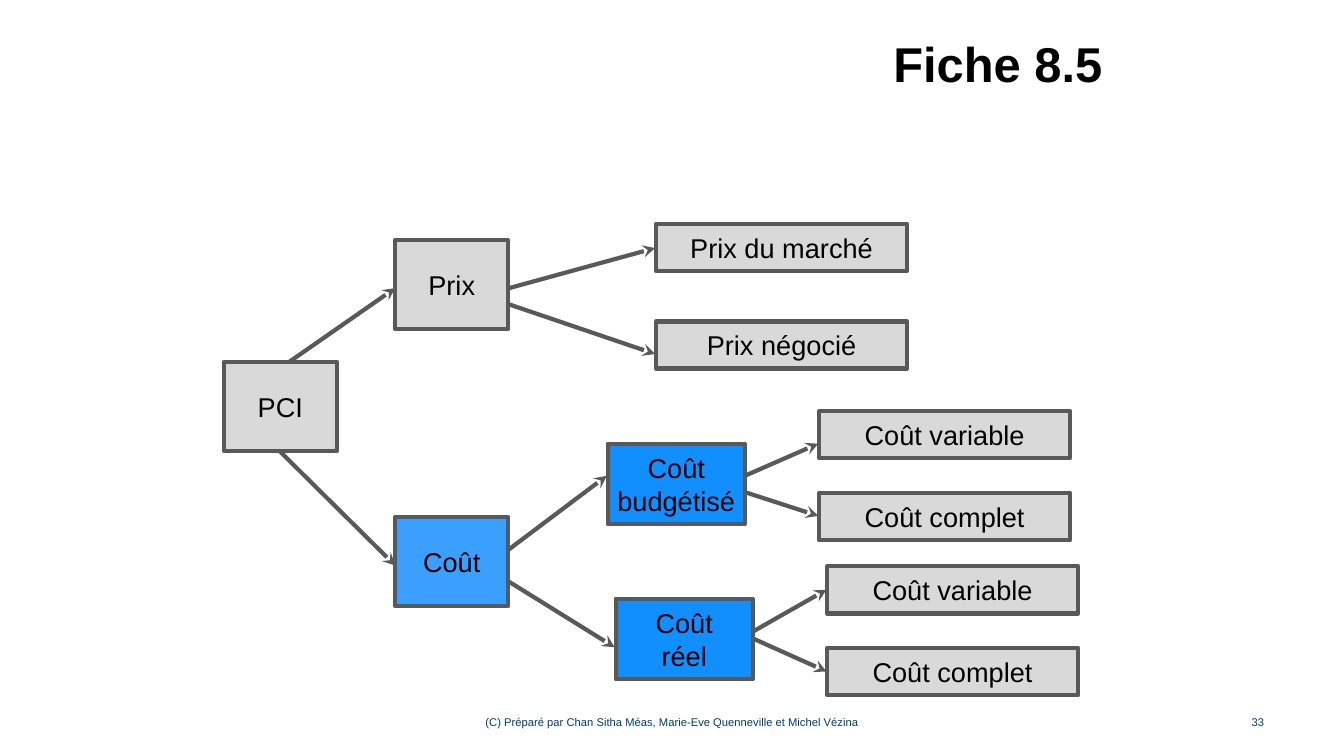
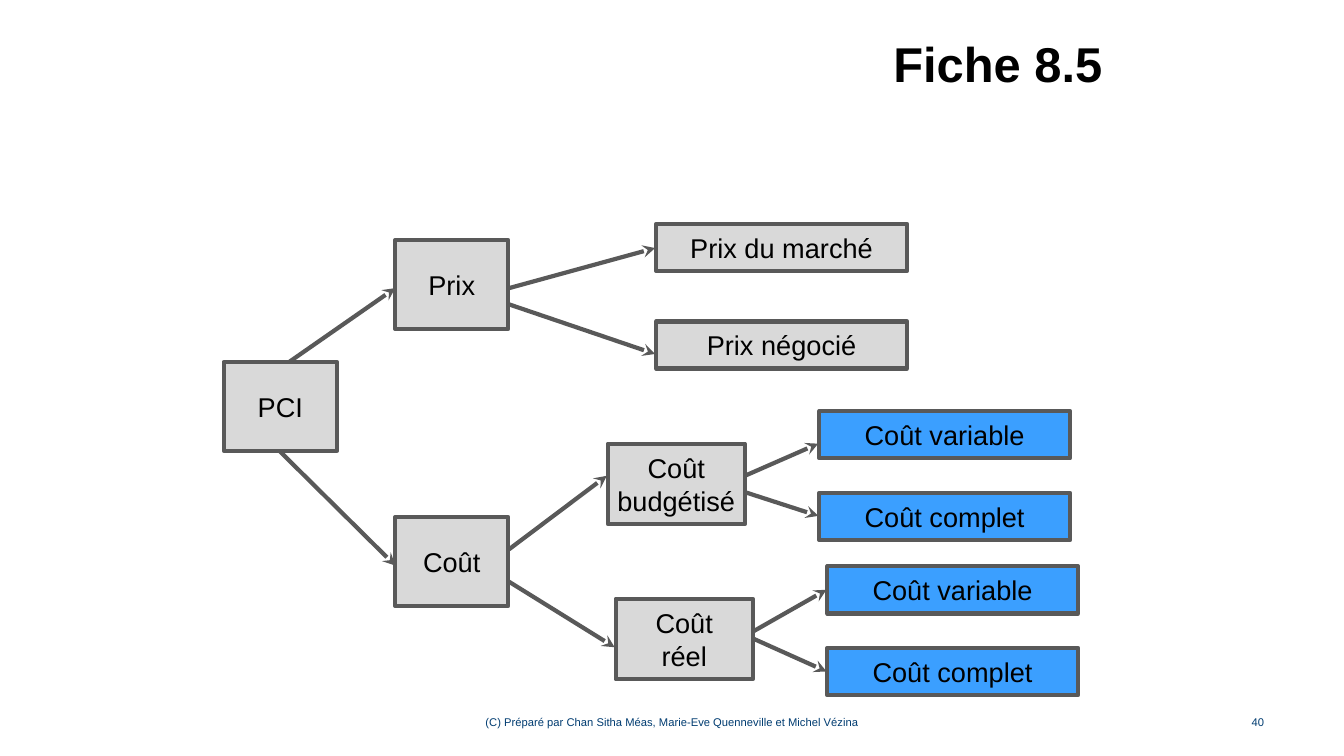
from dataclasses import dataclass
from typing import NamedTuple

from lxml.etree import SubElement
from pptx import Presentation
from pptx.dml.color import RGBColor
from pptx.enum.shapes import MSO_CONNECTOR as Connector, MSO_SHAPE as Preset
from pptx.enum.text import MSO_ANCHOR as Anchor, MSO_AUTO_SIZE as AutoSize, PP_ALIGN as Align
from pptx.oxml.ns import qn
from pptx.util import Cm, Pt

FONT = "Arial"
COLOURS = {
    "text": "000000",
    "footer": "003C71",
    "outline": "595959",
    "plain": "D9D9D9",
    "bright": "3B9FFF",
    "vivid": "118FFF",
}
TITLE = "Fiche 8.5"
CREDIT = "(C) Préparé par Chan Sitha Méas, Marie-Eve Quenneville et Michel Vézina"
TITLE_SIZE, NODE_SIZE, FOOTER_SIZE = 34.9, 19.4, 8


class Area(NamedTuple):
    """Left, top, width and height in centimetres."""
    left: float
    top: float
    width: float
    height: float

    def lengths(self) -> list:
        return [Cm(value) for value in self]


class Arrow(NamedTuple):
    """Start and end points in centimetres."""
    x1: float
    y1: float
    x2: float
    y2: float


@dataclass(frozen=True)
class Node:
    label: str
    area: Area
    group: str


@dataclass(frozen=True)
class Sheet:
    number: str
    highlights: dict[str, str]  # node group -> colour key


TITLE_AREA = Area(5.84, 1.02, 22.2, 1.12)
CREDIT_AREA = Area(11.58, 17.96, 10.72, 0.46)
NUMBER_AREA = Area(30.38, 17.96, 1.73, 0.46)

# Node sizes
ROOT = (2.85, 2.24)
BASIS = (3.45, 2.03)
LEAF = (6.32, 1.19)

NODES = [
    Node("PCI", Area(5.64, 9.12, *ROOT), "root"),
    Node("Prix", Area(9.96, 6.05, *ROOT), "price"),
    Node("Coût", Area(9.96, 13.03, *ROOT), "cost"),
    Node("Prix du marché", Area(16.54, 5.64, *LEAF), "price"),
    Node("Prix négocié", Area(16.54, 8.1, *LEAF), "price"),
]
# Each cost basis has the same two leaves beside it
for basis, left, top in (("Coût\nbudgétisé", 15.32, 11.18), ("Coût\nréel", 15.52, 15.09)):
    NODES.append(Node(basis, Area(left, top, *BASIS), "basis"))
    for leaf, drop in (("Coût variable", -0.82), ("Coût complet", 1.24)):
        NODES.append(Node(leaf, Area(left + 5.33, top + drop, *LEAF), "cost leaf"))

ARROWS = [
    # PCI to price and cost
    Arrow(7.29, 9.12, 9.96, 7.26),
    Arrow(7.06, 11.38, 9.96, 14.25),
    # Price to its two kinds
    Arrow(12.83, 7.26, 16.51, 6.25),
    Arrow(12.83, 7.67, 16.51, 8.92),
    # Cost to its two bases
    Arrow(12.83, 13.84, 15.29, 11.99),
    Arrow(12.83, 14.66, 15.49, 16.31),
    # Bases to variable and full cost
    Arrow(18.77, 11.99, 20.62, 11.18),
    Arrow(18.77, 12.4, 20.62, 13.0),
    Arrow(19.0, 15.9, 20.83, 14.86),
    Arrow(19.0, 16.1, 20.83, 16.92),
]

SHEETS = [
    Sheet("33", {"cost": "bright", "basis": "vivid"}),
    Sheet("40", {"cost leaf": "bright"}),
]


def colour(key: str) -> RGBColor:
    return RGBColor.from_string(COLOURS[key])


def write(frame, text: str, size: float, align: Align, ink: str = "text",
          bold: bool = False, wrap: bool = True) -> None:
    """Fill a text frame, one paragraph per line of text."""
    frame.auto_size = AutoSize.NONE
    frame.word_wrap = wrap
    frame.vertical_anchor = Anchor.MIDDLE
    for index, line in enumerate(text.split("\n")):
        paragraph = frame.add_paragraph() if index else frame.paragraphs[0]
        paragraph.alignment = align
        run = paragraph.add_run()
        run.text = line
        run.font.name = FONT
        run.font.size = Pt(size)
        run.font.bold = bold
        run.font.color.rgb = colour(ink)


def style_outline(line) -> None:
    line.color.rgb = colour("outline")
    line.width = Pt(3)


def add_frame(slide, number: str) -> None:
    """Title, credit and page number."""
    title = slide.shapes.title
    title.left, title.top, title.width, title.height = TITLE_AREA.lengths()
    write(title.text_frame, TITLE, TITLE_SIZE, Align.RIGHT, bold=True)
    for area, text, align in ((CREDIT_AREA, CREDIT, Align.CENTER),
                              (NUMBER_AREA, number, Align.RIGHT)):
        footer = slide.shapes.add_textbox(*area.lengths())
        write(footer.text_frame, text, FOOTER_SIZE, align, "footer")


def add_node(slide, node: Node, fill: str) -> None:
    box = slide.shapes.add_shape(Preset.RECTANGLE, *node.area.lengths())
    box.shadow.inherit = False
    box.fill.solid()
    box.fill.fore_color.rgb = colour(fill)
    style_outline(box.line)
    write(box.text_frame, node.label, NODE_SIZE, Align.CENTER, wrap=False)


def add_arrow(slide, arrow: Arrow) -> None:
    link = slide.shapes.add_connector(Connector.STRAIGHT, *(Cm(value) for value in arrow))
    style_outline(link.line)
    SubElement(link.line._get_or_add_ln(), qn("a:tailEnd"), type="stealth")
    SubElement(link._element.spPr, qn("a:effectLst"))


def main() -> None:
    deck = Presentation()
    deck.slide_width, deck.slide_height = Cm(33.87), Cm(19.05)
    title_only = deck.slide_layouts[5]
    for sheet in SHEETS:
        slide = deck.slides.add_slide(title_only)
        add_frame(slide, sheet.number)
        for node in NODES:
            add_node(slide, node, sheet.highlights.get(node.group, "plain"))
        for arrow in ARROWS:
            add_arrow(slide, arrow)
    deck.save("out.pptx")


if __name__ == "__main__":
    main()
